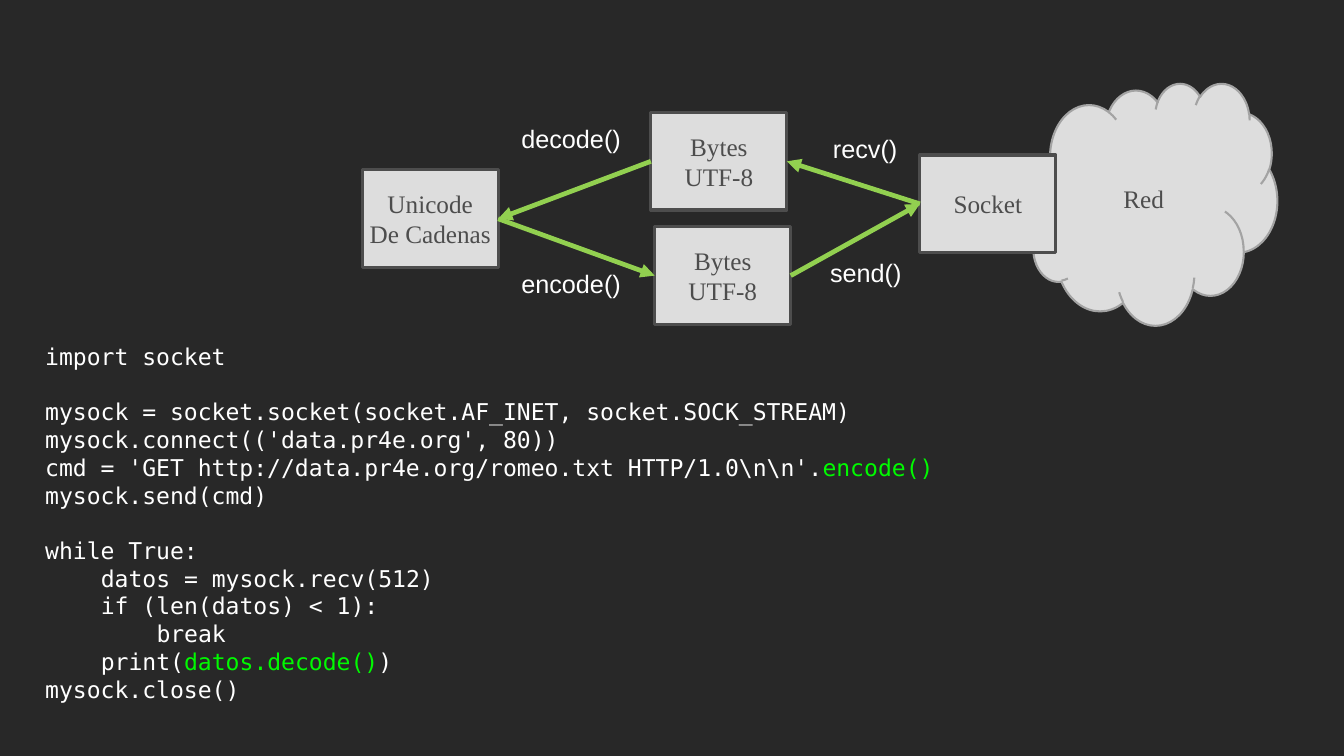
from collections import namedtuple
from dataclasses import dataclass

import lxml.etree
import pptx
import pptx.dml.color
import pptx.enum.shapes
import pptx.enum.text
import pptx.oxml.ns
import pptx.util

Cm = pptx.util.Cm
Pt = pptx.util.Pt
Box = namedtuple("Box", "left top width height")
LEFT_SIDE, RIGHT_SIDE = 1, 3


@dataclass(frozen=True)
class Theme:
    background: str = "282828"
    panel: str = "DDDDDD"
    ink: str = "4D4D4D"
    cloud_edge: str = "A3A3A3"
    arrow: str = "92D050"
    text: str = "FFFFFF"
    highlight: str = "00FA00"
    node_font: str = "Times New Roman"
    label_font: str = "Arial"
    code_font: str = "DejaVu Sans Mono"
    diagram_size: int = 24
    code_size: int = 22
    line_factor: float = 1.2
    code_indent: float = 1.87


THEME = Theme()

# Each line: indent level, blank lines above it, (text, highlighted) runs
CODE = [
    (0, 0, [("import socket", False)]),
    (0, 1, [("mysock = socket.socket(socket.AF_INET, socket.SOCK_STREAM)", False)]),
    (0, 0, [("mysock.connect(('data.pr4e.org', 80))", False)]),
    (0, 0, [("cmd = 'GET http://data.pr4e.org/romeo.txt HTTP/1.0\\n\\n'.", False),
            ("encode()", True)]),
    (0, 0, [("mysock.send(cmd)", False)]),
    (0, 1, [("while True:", False)]),
    (1, 0, [("datos = mysock.recv(512)", False)]),
    (1, 0, [("if (len(datos) < 1):", False)]),
    (2, 0, [("break", False)]),
    (1, 0, [("print(", False), ("datos.decode()", True), (")", False)]),
    (0, 0, [("mysock.close()", False)]),
]


def rgb(value):
    return pptx.dml.color.RGBColor.from_string(value)


def add_span(para, text, font, size, color):
    span = para.add_run()
    span.text = text
    span.font.name = font
    span.font.size = Pt(size)
    span.font.color.rgb = rgb(color)


def next_para(frame, index, size):
    para = frame.paragraphs[0] if index == 0 else frame.add_paragraph()
    para.line_spacing = Pt(size * THEME.line_factor)
    return para


def add_node(slide, kind, box, lines, edge, edge_width):
    """Add a filled diagram shape with centred lines of text."""
    node = slide.shapes.add_shape(kind, *map(Cm, box))
    node.shadow.inherit = False
    node.fill.solid()
    node.fill.fore_color.rgb = rgb(THEME.panel)
    node.line.color.rgb = rgb(edge)
    node.line.width = Pt(edge_width)
    frame = node.text_frame
    frame.margin_left = frame.margin_right = 0
    frame.word_wrap = True
    frame.vertical_anchor = pptx.enum.text.MSO_ANCHOR.MIDDLE
    for index, text in enumerate(lines):
        para = next_para(frame, index, THEME.diagram_size)
        para.alignment = pptx.enum.text.PP_ALIGN.CENTER
        add_span(para, text, THEME.node_font, THEME.diagram_size, THEME.ink)
    return node


def add_arrow(slide, start, start_side, end, end_side):
    arrow = slide.shapes.add_connector(
        pptx.enum.shapes.MSO_CONNECTOR.STRAIGHT, 0, 0, 0, 0)
    arrow.begin_connect(start, start_side)
    arrow.end_connect(end, end_side)
    arrow.line.color.rgb = rgb(THEME.arrow)
    arrow.line.width = Pt(4.5)
    qn = pptx.oxml.ns.qn
    lxml.etree.SubElement(arrow.line._get_or_add_ln(), qn("a:tailEnd"), type="triangle")
    lxml.etree.SubElement(arrow._element.spPr, qn("a:effectLst"))


def add_label(slide, box, text):
    label = slide.shapes.add_textbox(*map(Cm, box))
    frame = label.text_frame
    frame.word_wrap = False
    frame.auto_size = pptx.enum.text.MSO_AUTO_SIZE.SHAPE_TO_FIT_TEXT
    para = next_para(frame, 0, THEME.diagram_size)
    add_span(para, text, THEME.label_font, THEME.diagram_size, THEME.text)


def add_flow_diagram(slide, area):
    """Show text, bytes, socket and network with the calls that join them."""
    def within(left, top, width, height):
        return Box(area.left + left, area.top + top, width, height)

    def block(left, top, *lines):
        return add_node(slide, shapes.RECTANGLE, within(left, top, 4.57, 3.28),
                        lines, THEME.ink, 3)

    shapes = pptx.enum.shapes.MSO_SHAPE
    cloud_width = 8.38
    add_node(slide, shapes.CLOUD,
             within(area.width - cloud_width, 0, cloud_width, area.height),
             ["Red"], THEME.cloud_edge, 2)
    socket = block(18.74, 2.42, "Socket")
    received = block(9.7, 0.99, "Bytes", "UTF-8")
    strings = block(0, 2.92, "Unicode", "De Cadenas")
    sent = block(9.83, 4.83, "Bytes", "UTF-8")

    add_arrow(slide, strings, RIGHT_SIDE, sent, LEFT_SIDE)
    add_arrow(slide, socket, LEFT_SIDE, received, RIGHT_SIDE)
    add_arrow(slide, sent, RIGHT_SIDE, socket, LEFT_SIDE)
    add_arrow(slide, received, LEFT_SIDE, strings, RIGHT_SIDE)

    for text, left, top, width in [
        ("recv()", 15.57, 1.58, 2.69),
        ("decode()", 5.1, 1.22, 3.89),
        ("encode()", 5.1, 6.1, 3.89),
        ("send()", 15.47, 5.74, 2.95),
    ]:
        add_label(slide, within(left, top, width, 1.27), text)


def add_code(slide, area):
    listing = slide.shapes.add_textbox(*map(Cm, area))
    frame = listing.text_frame
    frame.word_wrap = True
    for index, (level, gap, spans) in enumerate(CODE):
        para = next_para(frame, index, THEME.code_size)
        para.space_before = Pt(gap * THEME.code_size * THEME.line_factor)
        para._p.get_or_add_pPr().set("marL", str(Cm(level * THEME.code_indent)))
        for text, highlighted in spans:
            color = THEME.highlight if highlighted else THEME.text
            add_span(para, text, THEME.code_font, THEME.code_size, color)


def main():
    deck = pptx.Presentation()
    deck.slide_width, deck.slide_height = Cm(45.16), Cm(25.4)
    page = deck.slides.add_slide(deck.slide_layouts[6])
    page.background.fill.solid()
    page.background.fill.fore_color.rgb = rgb(THEME.background)
    add_flow_diagram(page, Box(12.17, 2.79, 30.75, 8.13))
    add_code(page, Box(1.27, 11.38, 31.6, 12.47))
    deck.save("out.pptx")


if __name__ == "__main__":
    main()
